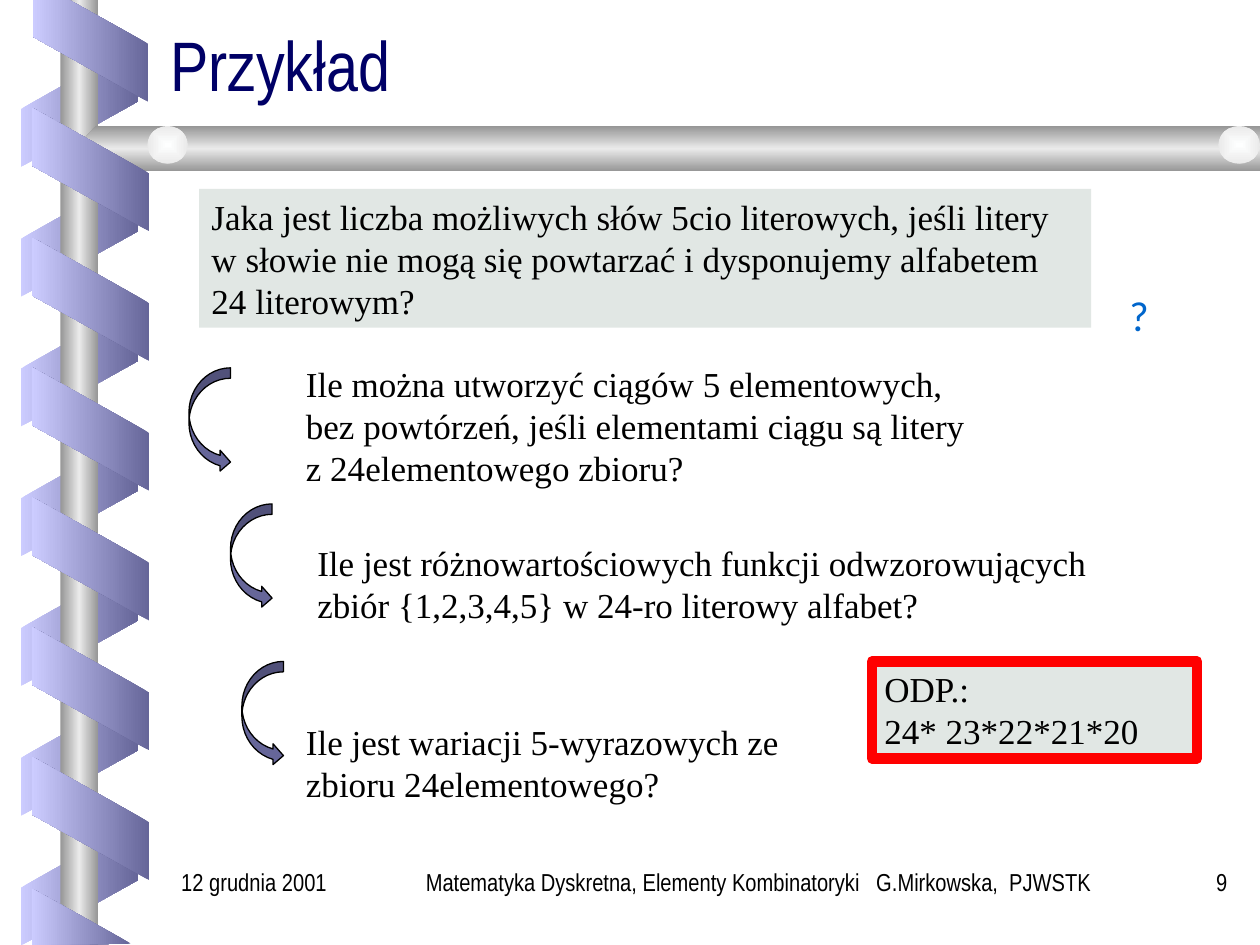
from dataclasses import dataclass

from lxml import etree
from pptx import Presentation
from pptx.dml.color import RGBColor
from pptx.enum.shapes import MSO_SHAPE
from pptx.enum.text import MSO_ANCHOR, MSO_AUTO_SIZE, PP_ALIGN
from pptx.oxml.ns import qn
from pptx.util import Inches, Pt

RECTANGLE = MSO_SHAPE.RECTANGLE
OVAL = MSO_SHAPE.OVAL
PARALLELOGRAM = MSO_SHAPE.PARALLELOGRAM
CURVED_ARROW = MSO_SHAPE.CURVED_RIGHT_ARROW
LEFT, CENTER, RIGHT = PP_ALIGN.LEFT, PP_ALIGN.CENTER, PP_ALIGN.RIGHT


@dataclass(frozen=True)
class Theme:
    heading_font: str = "Arial Narrow"
    body_font: str = "Times New Roman"
    mark_font: str = "Calibri"
    title_size: int = 40
    mark_size: int = 24
    body_size: int = 20
    footer_size: int = 14
    title: str = "000066"
    text: str = "000000"
    mark: str = "0066CC"
    mark_outline: str = "99CCFF"
    panel: str = "E1E7E4"
    answer_border: str = "FF0000"
    arrow: str = "666699"
    ribbon: tuple = ("666699", "CCCCFF")
    metal: tuple = ("969696", "EAEAEA", "969696")
    pearl: tuple = ("FEFFFF", "EAEAEA")


THEME = Theme()
RIBBON_STEP = 1.03


def color(value):
    return RGBColor.from_string(value)


def fill_gradient(shape, colors, angle=None):
    shape.shadow.inherit = False
    shape.line.fill.background()
    shape.fill.background()
    gradient = etree.Element(qn("a:gradFill"), rotWithShape="0")
    stops = etree.SubElement(gradient, qn("a:gsLst"))
    for index, value in enumerate(colors):
        position = 100000 * index // (len(colors) - 1)
        stop = etree.SubElement(stops, qn("a:gs"), pos=str(position))
        etree.SubElement(stop, qn("a:srgbClr"), val=value)
    if angle is None:
        center = etree.SubElement(gradient, qn("a:path"), path="rect")
        etree.SubElement(center, qn("a:fillToRect"), l="50000", t="50000", r="50000", b="50000")
    else:
        etree.SubElement(gradient, qn("a:lin"), ang=str(angle * 60000), scaled="1")
    properties = shape.element.spPr
    properties.replace(properties.find(qn("a:noFill")), gradient)


def add_shape(slide, kind, left, top, width, height):
    shape = slide.shapes.add_shape(kind, Inches(left), Inches(top), Inches(width), Inches(height))
    shape.shadow.inherit = False
    return shape


def add_outline(slide, points, colors, angle):
    corners = [(Inches(x), Inches(y)) for x, y in points]
    builder = slide.shapes.build_freeform(*corners[0], scale=1.0)
    builder.add_line_segments(corners[1:], close=True)
    fill_gradient(builder.convert_to_shape(), colors, angle)


def add_ribbon(slide, left, top, rotation, colors, flipped=False):
    ribbon = add_shape(slide, PARALLELOGRAM, left, top, 0.98, 0.93)
    ribbon.adjustments[0] = 0.56
    ribbon.rotation = rotation
    if flipped:
        ribbon.element.spPr.xfrm.set("flipH", "1")
    fill_gradient(ribbon, colors, 180)


def add_decoration(slide):
    for index in range(7):
        add_ribbon(slide, 0.14, 0.37 + index * RIBBON_STEP, 90, THEME.ribbon[::-1], flipped=True)
    fill_gradient(add_shape(slide, RECTANGLE, 0.48, 0, 0.3, 7.5), THEME.metal, 180)
    bar = [(10, 1), (0.76, 1), (0.6, 1.18), (0.76, 1.36), (10, 1.36)]
    add_outline(slide, bar, THEME.metal, 90)
    for left, width in ((1.17, 0.32), (9.67, 0.33)):
        fill_gradient(add_shape(slide, OVAL, left, 1, width, 0.3), THEME.pearl)
    for index in range(6):
        add_ribbon(slide, 0.23, 0.88 + index * RIBBON_STEP, 270, THEME.ribbon)
    top_end = [(0.26, 0), (0.26, 0.29), (1.18, 0.81), (1.18, 0.35), (0.55, 0)]
    bottom_end = [(1.04, 7.49), (0.25, 7.05), (0.25, 7.5)]
    for points in (top_end, bottom_end):
        add_outline(slide, points, THEME.ribbon, 180)


def write(shape, text, size, font, ink=THEME.text, align=LEFT, anchor=MSO_ANCHOR.TOP):
    frame = shape.text_frame
    frame.word_wrap = True
    frame.auto_size = MSO_AUTO_SIZE.NONE
    frame.vertical_anchor = anchor
    frame.text = text
    paragraph = frame.paragraphs[0]
    paragraph.alignment = align
    for run in paragraph.runs:
        run.font.size = Pt(size)
        run.font.name = font
        run.font.color.rgb = color(ink)
    return paragraph


def add_text(slide, box, text, size=THEME.body_size, font=THEME.body_font, **style):
    shape = slide.shapes.add_textbox(*map(Inches, box))
    write(shape, text, size, font, **style)
    return shape


def add_panel(slide, box, text, border=None):
    panel = add_shape(slide, RECTANGLE, *box)
    panel.fill.solid()
    panel.fill.fore_color.rgb = color(THEME.panel)
    if border:
        panel.line.color.rgb = color(border)
        panel.line.width = Pt(6)
    else:
        panel.line.fill.background()
    write(panel, text, THEME.body_size, THEME.body_font)


def add_arrow(slide, left, top):
    arrow = add_shape(slide, CURVED_ARROW, left, top, 0.33, 0.83)
    arrow.fill.solid()
    arrow.fill.fore_color.rgb = color(THEME.arrow)
    arrow.line.color.rgb = color(THEME.text)
    arrow.line.width = Pt(0.75)


def add_question_mark(slide):
    mark = add_text(slide, (8.58, 2.25, 0.92, 1.25), "?", THEME.mark_size, THEME.mark_font,
                    ink=THEME.mark, align=CENTER)
    properties = mark.text_frame.paragraphs[0].runs[0].font._element
    outline = etree.Element(qn("a:ln"), w=str(Pt(1.5)))
    fill = etree.SubElement(outline, qn("a:solidFill"))
    etree.SubElement(fill, qn("a:srgbClr"), val=THEME.mark_outline)
    properties.insert(0, outline)


def set_title(slide, text):
    title = slide.shapes.title
    title.left, title.top, title.width, title.height = map(Inches, (1.25, 0.25, 8.5, 0.63))
    paragraph = write(title, text, THEME.title_size, THEME.heading_font, THEME.title,
                      anchor=MSO_ANCHOR.BOTTOM)
    paragraph.line_spacing = 0.8


def add_footer(slide):
    for left, width, text, align in (
        (1.34, 1.74, "12 grudnia 2001", LEFT),
        (3.17, 5.75, "Matematyka Dyskretna, Elementy Kombinatoryki   G.Mirkowska,  PJWSTK ", CENTER),
        (9, 0.84, "9", RIGHT),
    ):
        add_text(slide, (left, 6.83, width, 0.5), text, THEME.footer_size,
                 THEME.heading_font, align=align)


def main():
    presentation = Presentation()
    presentation.slide_width, presentation.slide_height = Inches(10), Inches(7.5)
    slide = presentation.slides.add_slide(presentation.slide_layouts[5])
    add_decoration(slide)
    set_title(slide, "Przykład")
    add_panel(slide, (1.58, 1.5, 7.08, 1.1),
              "Jaka jest liczba możliwych słów 5cio literowych, jeśli litery w słowie "
              "nie mogą się powtarzać i dysponujemy alfabetem 24 literowym?")
    for box, text, arrow in (
        ((2.33, 2.83, 5.5, 1.1),
         "Ile można utworzyć ciągów 5 elementowych, bez powtórzeń, jeśli elementami "
         "ciągu są litery z 24elementowego zbioru?", (1.5, 2.92)),
        ((2.42, 4.25, 6.75, 0.77),
         "Ile jest różnowartościowych funkcji odwzorowujących zbiór {1,2,3,4,5} "
         "w 24-ro literowy alfabet?", (1.83, 4)),
        ((2.33, 5.67, 4.25, 0.77),
         "Ile jest wariacji 5-wyrazowych ze zbioru 24elementowego?", (1.92, 5.25)),
    ):
        add_text(slide, box, text)
        add_arrow(slide, *arrow)
    add_panel(slide, (6.92, 5.25, 2.58, 0.77), "ODP.: \v24* 23*22*21*20", THEME.answer_border)
    add_question_mark(slide)
    add_footer(slide)
    presentation.save("out.pptx")


if __name__ == "__main__":
    main()
